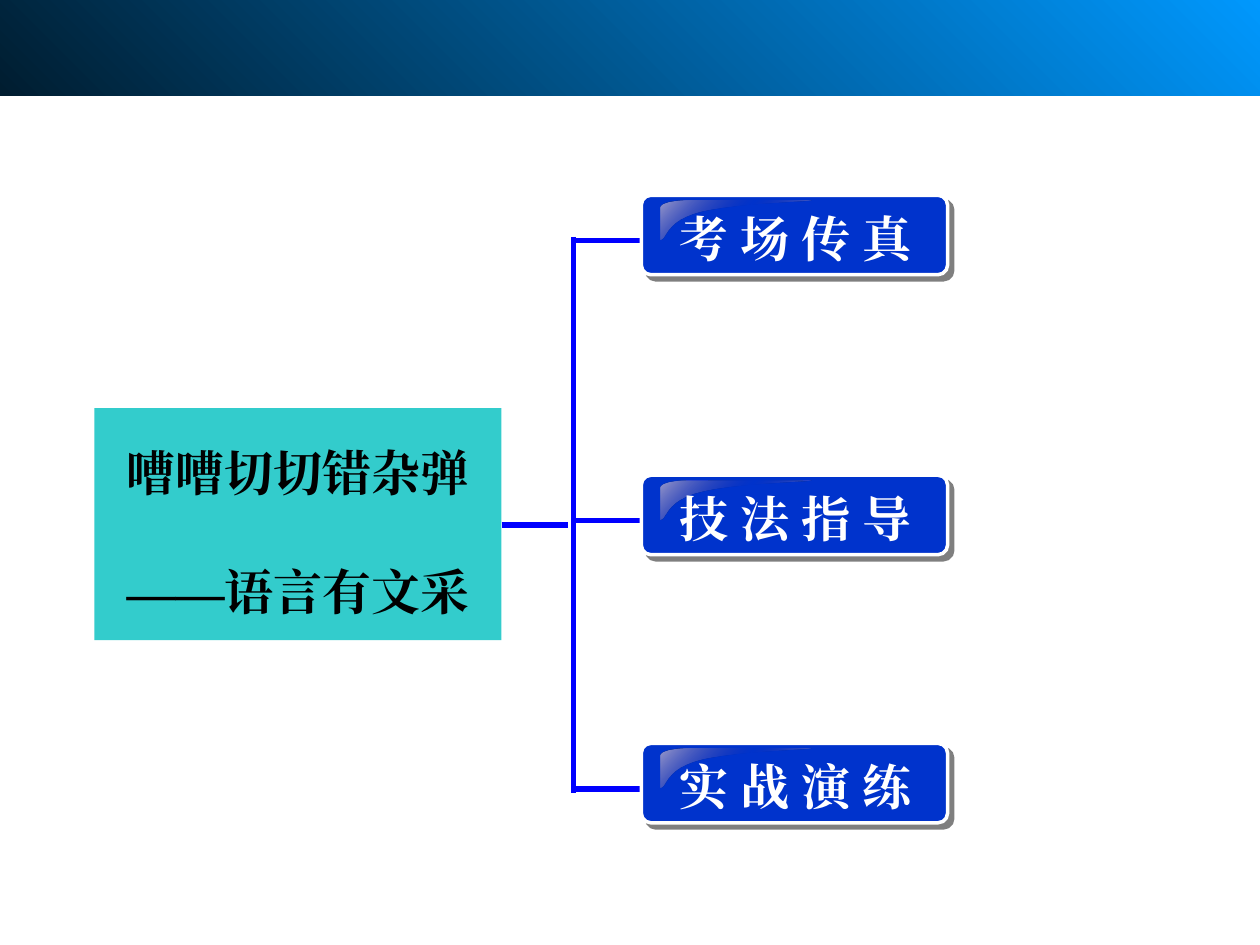
from lxml import etree
from pptx import Presentation
from pptx.dml.color import RGBColor
from pptx.enum.shapes import MSO_CONNECTOR, MSO_SHAPE
from pptx.enum.text import MSO_ANCHOR, PP_ALIGN
from pptx.oxml import parse_xml
from pptx.oxml.ns import qn
from pptx.util import Pt

LINE = MSO_CONNECTOR.STRAIGHT
RECT = MSO_SHAPE.RECTANGLE
ROUND = MSO_SHAPE.ROUNDED_RECTANGLE
MIDDLE = MSO_ANCHOR.MIDDLE
TOP = MSO_ANCHOR.TOP
CENTER = PP_ALIGN.CENTER
LEFT = PP_ALIGN.LEFT

SKY = RGBColor(0x00, 0x99, 0xFF)
NIGHT = RGBColor(0x00, 0x1D, 0x30)
TEAL = RGBColor(0x33, 0xCC, 0xCC)
BLUE = RGBColor(0x00, 0x33, 0xCC)
WIRE = RGBColor(0x00, 0x00, 0xFF)
HAZE = RGBColor(0x9B, 0x9B, 0xCC)
INDIGO = RGBColor(0x33, 0x33, 0x99)
BLACK = RGBColor(0x00, 0x00, 0x00)
WHITE = RGBColor(0xFF, 0xFF, 0xFF)

FONT = "Times New Roman"
NS = 'xmlns:a="http://schemas.openxmlformats.org/drawingml/2006/main"'

TRUNK = 327.6   # x of the upright line
EDGE = 366.5    # left side of the buttons
TOPICS = [("考 场 传 真", 111.6), ("技 法 指 导", 271.6), ("实 战 演 练", 424.8)]

# Gloss outline, measured from the top left of its button
START = (28, 3)
CURVES = [
    [(28, 3), (18.7, 3), (10.8, 4.5), (10.8, 7.3)],
    [(10.8, 25.2), (15, 25.2), (13, 14.4), (34.6, 9.4)],
    [(34.6, 9.4), (56, 4.4), (98, 4), (97.2, 3)],
]


def shade(shape, stops, angle):
    """Fill with a linear gradient; stops are (percent, colour, opacity)."""
    marks = "".join(
        f'<a:gs pos="{pos * 1000}"><a:srgbClr val="{color}">'
        f'<a:alpha val="{alpha * 1000}"/></a:srgbClr></a:gs>'
        for pos, color, alpha in stops)
    grad = parse_xml(f'<a:gradFill {NS} rotWithShape="1"><a:gsLst>{marks}</a:gsLst>'
                     f'<a:lin ang="{angle * 60000}" scaled="0"/></a:gradFill>')
    shape.fill.solid()
    old = shape.fill._xPr.find(qn("a:solidFill"))
    old.getparent().replace(old, grad)


def add_box(slide, kind, box, color=None):
    shape = slide.shapes.add_shape(kind, *[Pt(v) for v in box])
    shape.shadow.inherit = False
    shape.line.fill.background()
    if color is not None:
        shape.fill.solid()
        shape.fill.fore_color.rgb = color
    return shape


def add_line(slide, x1, y1, x2, y2):
    line = slide.shapes.add_connector(LINE, Pt(x1), Pt(y1), Pt(x2), Pt(y2))
    line.line.color.rgb = WIRE
    line.line.width = Pt(3)
    etree.SubElement(line._element.spPr, qn("a:effectLst"))


def set_text(shape, text, color, align, anchor, pads):
    frame = shape.text_frame
    frame.word_wrap = True
    frame.vertical_anchor = anchor
    (frame.margin_left, frame.margin_top,
     frame.margin_right, frame.margin_bottom) = [Pt(v) for v in pads]
    frame.text = text
    for para in frame.paragraphs:
        para.alignment = align
        for run in para.runs:
            run.font.size = Pt(28)
            run.font.bold = True
            run.font.name = FONT
            run.font.color.rgb = color
            east = etree.SubElement(run.font._element, qn("a:ea"))
            east.set("typeface", FONT)
    return frame.paragraphs


def drop_shadow(shape):
    effects = shape._element.spPr.find(qn("a:effectLst"))
    effects.append(parse_xml(
        f'<a:outerShdw {NS} blurRad="0" dist="{Pt(4.2)}" dir="2700000" algn="ctr" '
        f'rotWithShape="0"><a:srgbClr val="{BLACK}"><a:alpha val="50000"/>'
        '</a:srgbClr></a:outerShdw>'))


def trace(curve, steps=12):
    """Points along a cubic curve."""
    a, b, c, d = curve
    for i in range(steps + 1):
        t = i / steps
        u = 1 - t
        yield tuple(u**3 * p + 3 * u * u * t * q + 3 * u * t * t * r + t**3 * s
                    for p, q, r, s in zip(a, b, c, d))


def add_gloss(slide, left, top):
    pen = slide.shapes.build_freeform(Pt(left + START[0]), Pt(top + START[1]))
    dots = [dot for curve in CURVES for dot in trace(curve)]
    pen.add_line_segments([(Pt(left + x), Pt(top + y)) for x, y in dots], close=True)
    gloss = pen.convert_to_shape()
    gloss.shadow.inherit = False
    gloss.line.fill.background()
    shade(gloss, [(0, HAZE, 100), (50, INDIGO, 0), (100, HAZE, 100)], 225)


def add_topic(slide, text, top):
    add_line(slide, TRUNK, top + 26, EDGE - 0.5, top + 26)
    button = add_box(slide, ROUND, (EDGE, top, 175, 45.4), BLUE)
    button.adjustments[0] = 0.12
    button.line.color.rgb = WHITE
    button.line.width = Pt(2)
    drop_shadow(button)
    add_gloss(slide, EDGE, top)
    label = slide.shapes.add_textbox(Pt(EDGE + 14.5), Pt(top + 4), Pt(296), Pt(41))
    set_text(label, text, WHITE, LEFT, MIDDLE, (7.2, 3.6, 7.2, 3.6))


def add_theme(slide):
    box = add_box(slide, RECT, (54, 233.3, 232.5, 132.5), TEAL)
    paras = set_text(box, "嘈嘈切切错杂弹\n——语言有文采", BLACK, CENTER, TOP,
                     (7.2, 2.9, 7.2, 11.5))
    for para in paras:
        para.line_spacing = 1.5
    paras[1].space_before = Pt(17.5)


def main():
    deck = Presentation()
    deck.slide_width, deck.slide_height = Pt(720), Pt(540)
    slide = deck.slides.add_slide(deck.slide_layouts[6])

    # Header band
    band = add_box(slide, RECT, (0, -7.9, 720, 62.7))
    shade(band, [(0, SKY, 100), (100, NIGHT, 100)], 135)

    # Theme and the bracket that leads to the topics
    add_theme(slide)
    add_line(slide, 286.6, 300, 324.8, 300)
    add_line(slide, TRUNK, 135.4, TRUNK, 452.9)

    # Topic buttons
    for text, top in TOPICS:
        add_topic(slide, text, top)

    deck.save("out.pptx")


if __name__ == "__main__":
    main()
